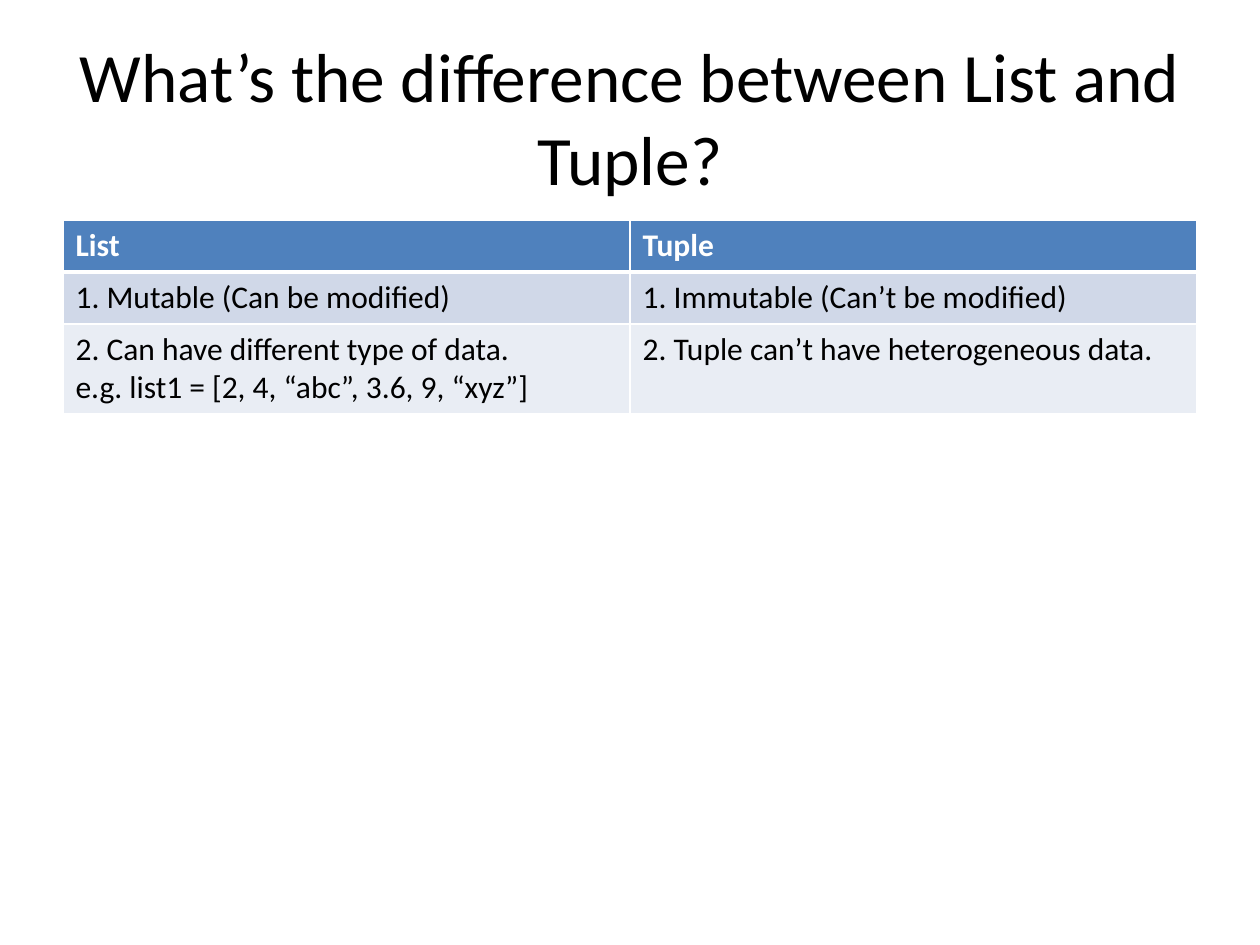
from lxml import etree
from pptx import Presentation
from pptx.dml.color import RGBColor
from pptx.enum.text import MSO_ANCHOR, MSO_AUTO_SIZE, PP_ALIGN
from pptx.oxml.ns import qn
from pptx.util import Inches, Pt

CENTER, LEFT = PP_ALIGN.CENTER, PP_ALIGN.LEFT
MIDDLE, NO_FIT = MSO_ANCHOR.MIDDLE, MSO_AUTO_SIZE.NONE
TITLE_ONLY = 5

BLACK = RGBColor(0x00, 0x00, 0x00)
WHITE = RGBColor(0xFF, 0xFF, 0xFF)
HEADER_BLUE = RGBColor(0x4F, 0x81, 0xBD)
BANDS = (RGBColor(0xD0, 0xD8, 0xE8), RGBColor(0xE9, 0xED, 0xF4))


class SlideBuilder:
    font = "Calibri"
    title_size = 39.6
    table_size = 18

    def __init__(self, page):
        self.page = page

    def add_text(self, para, text, size, color, bold=False, align=LEFT):
        para.alignment = align
        span = para.add_run()
        span.text = text
        span.font.name = self.font
        span.font.size = Pt(size)
        span.font.bold = bold
        span.font.color.rgb = color

    def title(self, text, left, top, width, height):
        box = self.page.shapes.title
        box.left, box.top = Inches(left), Inches(top)
        box.width, box.height = Inches(width), Inches(height)
        frame = box.text_frame
        frame.word_wrap = True
        frame.auto_size = NO_FIT
        frame.vertical_anchor = MIDDLE
        self.add_text(frame.paragraphs[0], text, self.title_size, BLACK, align=CENTER)

    def borders(self, cell, widths):
        properties = cell._tc.get_or_add_tcPr()
        for index, (side, width) in enumerate(widths.items()):
            line = etree.Element(qn("a:" + side), w=str(Pt(width)))
            fill = etree.SubElement(line, qn("a:solidFill"))
            etree.SubElement(fill, qn("a:srgbClr"), val=str(WHITE))
            properties.insert(index, line)

    def table(self, rows, left, top, column_width, heights):
        columns = len(rows[0])
        table = self.page.shapes.add_table(
            len(rows), columns, Inches(left), Inches(top),
            Inches(column_width * columns), Inches(sum(heights))).table
        for column in table.columns:
            column.width = Inches(column_width)
        for r, row in enumerate(rows):
            table.rows[r].height = Inches(heights[r])
            header = r == 0
            for c, lines in enumerate(row):
                cell = table.cell(r, c)
                cell.fill.solid()
                cell.fill.fore_color.rgb = HEADER_BLUE if header else BANDS[(r - 1) % 2]
                # The rule under the header is thicker than the others
                self.borders(cell, {"lnL": 1, "lnR": 1,
                                    "lnT": 3 if r == 1 else 1,
                                    "lnB": 3 if header else 1})
                frame = cell.text_frame
                for i, text in enumerate(lines):
                    para = frame.add_paragraph() if i else frame.paragraphs[0]
                    self.add_text(para, text, self.table_size,
                                  WHITE if header else BLACK, bold=header)


deck = Presentation()
deck.slide_width, deck.slide_height = Inches(10), Inches(7.5)
builder = SlideBuilder(deck.slides.add_slide(deck.slide_layouts[TITLE_ONLY]))

# Heading
builder.title("What’s the difference between List and Tuple?", 0.5, 0.3, 9, 1.25)

# Comparison table: each cell is a list of paragraphs
comparison = [
    [["List"], ["Tuple"]],
    [["1. Mutable (Can be modified)"], ["1. Immutable (Can’t be modified)"]],
    [["2. Can have different type of data.",
      "e.g. list1 = [2, 4, “abc”, 3.6, 9, “xyz”]"],
     ["2. Tuple can’t have heterogeneous data."]],
]
builder.table(comparison, 0.5, 1.75, 4.5, [0.41, 0.41, 0.69])

deck.save("out.pptx")
